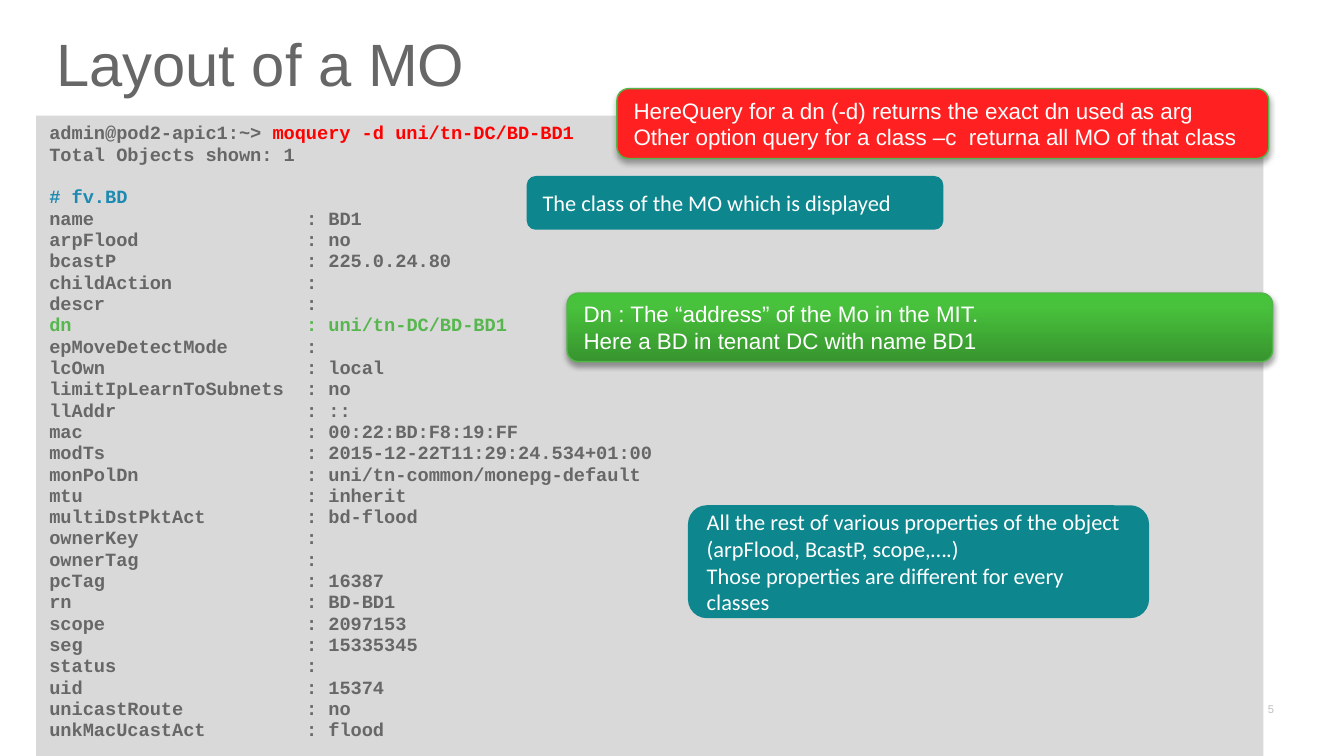
"""Build the slide that explains the layout of a managed object."""
from copy import deepcopy
from dataclasses import dataclass
from typing import Any, NamedTuple

from lxml import etree
from pptx import Presentation
from pptx.dml import color
from pptx.enum import shapes, text
from pptx.oxml import ns
from pptx import util as u


@dataclass(frozen=True)
class Theme:
    grey: str = "676767"
    panel: str = "D9D9D9"
    red: str = "FF0000"
    blue: str = "1C8AB1"
    green: str = "57B74E"
    white: str = "FFFFFF"
    pale: str = "BFBFBF"
    teal: str = "0D868E"
    alert: str = "FF2121"
    edge: str = "53B64A"
    fade: tuple = ((0, "37942E"), (0.8, "48C13C"), (1, "46C43A"))
    sans: str = "Arial"
    humanist: str = "Calibri"
    mono: str = "Courier New"
    title_size: float = 32
    note_size: float = 12
    code_size: float = 10
    code_pitch: float = 11.43
    number_size: float = 6


THEME = Theme()


class Area(NamedTuple):
    left: float
    top: float
    width: float
    height: float


class Span(NamedTuple):
    words: str
    colour: str


@dataclass(frozen=True)
class Callout:
    area: Area
    lines: tuple
    font: str
    fill: Any
    raised: bool = False


CALLOUTS = (
    Callout(Area(330.5, 47.5, 349.2, 37.4),
            ("HereQuery for a dn (-d) returns the exact dn used as arg",
             "Other option query for a class –c  returna all MO of that class"),
            THEME.sans, THEME.alert, True),
    Callout(Area(303.8, 157, 378, 36.7),
            ("Dn : The “address” of the Mo in the MIT.",
             "Here a BD in tenant DC with name BD1"),
            THEME.sans, THEME.fade, True),
    Callout(Area(282.2, 94.3, 223.2, 28.8),
            ("The class of the MO which is displayed",), THEME.humanist, THEME.teal),
    Callout(Area(368.6, 270.7, 247, 60.5),
            ("All the rest of various properties of the object (arpFlood, BcastP, scope,….)",
             "Those properties are different for every classes"),
            THEME.humanist, THEME.teal),
)

PROPERTIES = {
    "name": "BD1", "arpFlood": "no", "bcastP": "225.0.24.80", "childAction": "",
    "descr": "", "dn": "uni/tn-DC/BD-BD1", "epMoveDetectMode": "", "lcOwn": "local",
    "limitIpLearnToSubnets": "no", "llAddr": "::", "mac": "00:22:BD:F8:19:FF",
    "modTs": "2015-12-22T11:29:24.534+01:00", "monPolDn": "uni/tn-common/monepg-default",
    "mtu": "inherit", "multiDstPktAct": "bd-flood", "ownerKey": "", "ownerTag": "",
    "pcTag": "16387", "rn": "BD-BD1", "scope": "2097153", "seg": "15335345",
    "status": "", "uid": "15374", "unicastRoute": "no", "unkMacUcastAct": "flood",
}


def rgb(value: str) -> color.RGBColor:
    return color.RGBColor.from_string(value)


def apply(target: Any, values: dict) -> None:
    for name, value in values.items():
        setattr(target, name, value)


def write(box: Any, lines: list, font: dict, frame: dict, layout: dict) -> None:
    apply(box.text_frame, {"word_wrap": True, **frame})
    for index, spans in enumerate(lines):
        para = box.text_frame.paragraphs[0] if index == 0 else box.text_frame.add_paragraph()
        apply(para, {"alignment": text.PP_ALIGN.LEFT, **layout})
        for words, colour in spans:
            span = para.add_run()
            span.text = words
            apply(span.font, font)
            span.font.color.rgb = rgb(colour)


def add_block(page: Any, kind: Any, area: Area) -> Any:
    box = page.shapes.add_shape(kind, *map(u.Pt, area))
    box.shadow.inherit = False
    box.line.fill.background()
    return box


def paint(box: Any, fill: Any) -> None:
    if isinstance(fill, str):
        box.fill.solid()
        box.fill.fore_color.rgb = rgb(fill)
        return
    box.fill.gradient()
    box.fill.gradient_angle = 90
    stops = box._element.spPr.find(".//" + ns.qn("a:gsLst"))
    stops.append(deepcopy(stops[-1]))
    for stop, (position, colour) in zip(box.fill.gradient_stops, fill):
        stop.position = position
        stop.color.rgb = rgb(colour)


def cast_shadow(box: Any) -> None:
    effects = box._element.spPr.find(ns.qn("a:effectLst"))
    shadow = etree.SubElement(effects, ns.qn("a:outerShdw"), blurRad=str(u.Pt(3.1)),
                              dist=str(u.Pt(1.8)), dir="5400000", rotWithShape="0")
    shade = etree.SubElement(shadow, ns.qn("a:srgbClr"), val="000000")
    etree.SubElement(shade, ns.qn("a:alpha"), val="35000")


def add_callout(page: Any, callout: Callout) -> None:
    box = add_block(page, shapes.MSO_SHAPE.ROUNDED_RECTANGLE, callout.area)
    paint(box, callout.fill)
    if callout.raised:
        box.line.color.rgb = rgb(THEME.edge)
        box.line.width = u.Pt(0.75)
        cast_shadow(box)
    write(box, [[Span(line, THEME.white)] for line in callout.lines],
          {"name": THEME.sans if callout.font == THEME.sans else callout.font,
           "size": u.Pt(THEME.note_size)},
          {"vertical_anchor": text.MSO_ANCHOR.MIDDLE}, {})


def add_listing(page: Any) -> None:
    box = add_block(page, shapes.MSO_SHAPE.RECTANGLE, Area(19.4, 62, 657.4, 343))
    paint(box, THEME.panel)
    header = [
        [Span("admin@pod2-apic1:~> ", THEME.grey),
         Span("moquery -d uni/tn-DC/BD-BD1", THEME.red)],
        [Span("Total Objects shown: 1", THEME.grey)],
        [Span("# fv.BD", THEME.blue)],
    ]
    rows = [[Span(f"{name:<23}: {value}".rstrip(), THEME.green if name == "dn" else THEME.grey)]
            for name, value in PROPERTIES.items()]
    write(box, header + rows,
          {"name": THEME.mono, "size": u.Pt(THEME.code_size), "bold": True},
          {"vertical_anchor": text.MSO_ANCHOR.TOP},
          {"line_spacing": u.Pt(THEME.code_pitch)})
    box.text_frame.paragraphs[2].space_before = u.Pt(THEME.code_pitch)


def add_label(page: Any, area: Area, span: Span, size: float, frame: dict, layout: dict) -> None:
    box = page.shapes.add_textbox(*map(u.Pt, area))
    write(box, [[span]], {"name": THEME.sans, "size": u.Pt(size)}, frame, layout)


def main() -> None:
    deck = Presentation()
    apply(deck, {"slide_width": u.Pt(720), "slide_height": u.Pt(405)})
    page = deck.slides.add_slide(deck.slide_layouts[6])
    add_label(page, Area(670.3, 373.7, 17.3, 12.2), Span("5", THEME.pale), THEME.number_size,
              {"vertical_anchor": text.MSO_ANCHOR.BOTTOM, "word_wrap": False,
               "margin_left": u.Pt(5), "margin_right": u.Pt(5),
               "margin_top": u.Pt(2.2), "margin_bottom": u.Pt(2.2)},
              {"alignment": text.PP_ALIGN.RIGHT})
    add_listing(page)
    add_label(page, Area(23, 8.6, 657.4, 57.6), Span("Layout of a MO", THEME.grey),
              THEME.title_size, {"vertical_anchor": text.MSO_ANCHOR.MIDDLE},
              {"line_spacing": 0.8})
    for callout in CALLOUTS:
        add_callout(page, callout)
    deck.save("out.pptx")


if __name__ == "__main__":
    main()
